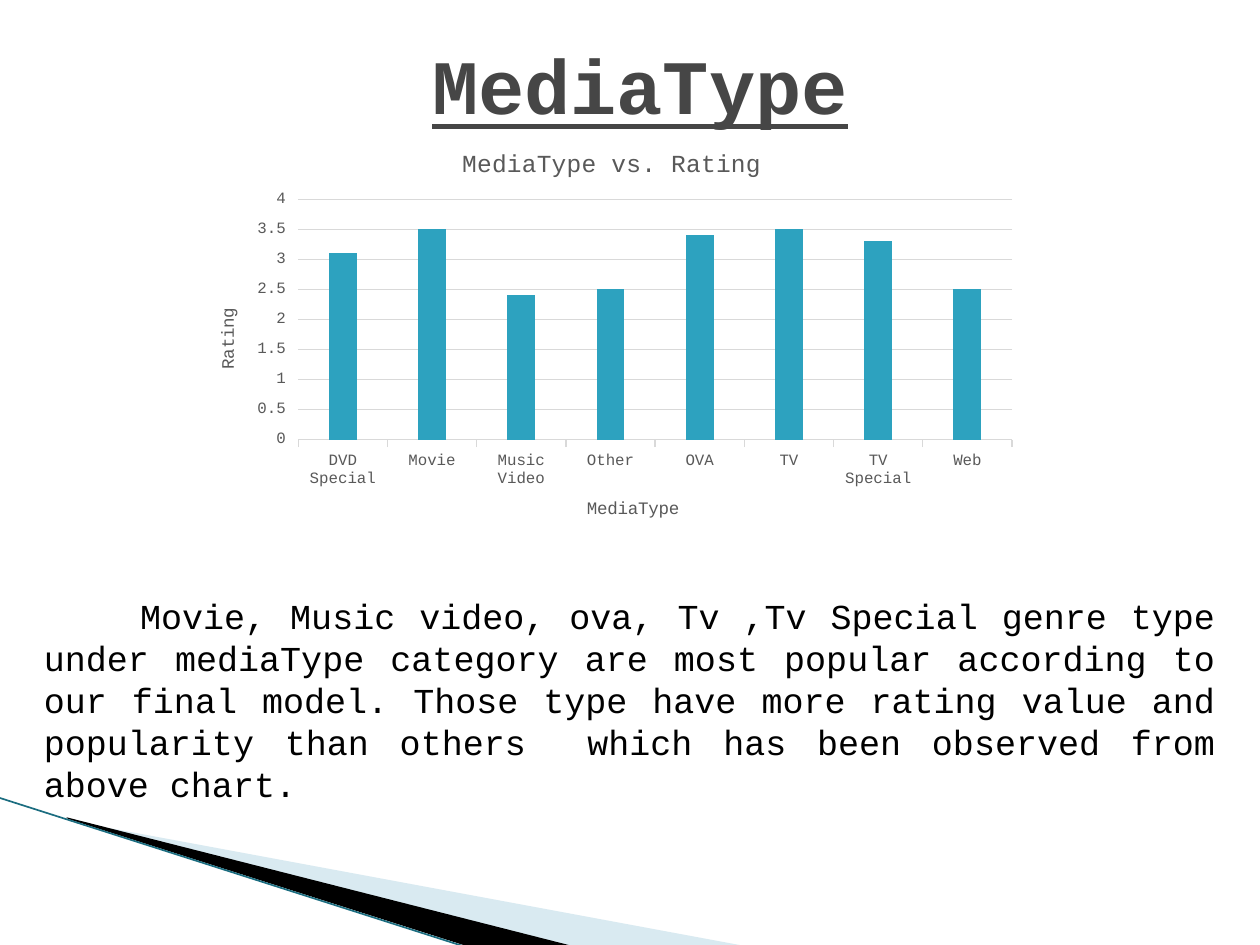
"""Build the MediaType rating slide."""
from lxml import etree
from pptx import Presentation
from pptx.chart.data import CategoryChartData as ChartData
from pptx.dml.color import RGBColor
from pptx.enum.chart import XL_CHART_TYPE as Kind, XL_TICK_MARK as Tick
from pptx.enum.shapes import MSO_CONNECTOR as Link
from pptx.enum.text import MSO_ANCHOR as Anchor, PP_ALIGN as Align
from pptx.oxml.ns import qn
from pptx.util import Pt

FACE = "Courier New"
BLACK = RGBColor(0, 0, 0)
DARK = RGBColor(0x46, 0x46, 0x46)
GRAY = RGBColor(0x59, 0x59, 0x59)
RULE = RGBColor(0xD9, 0xD9, 0xD9)
TEAL = RGBColor(0x2D, 0xA2, 0xBF)
DEEP = RGBColor(0x1B, 0x6D, 0x80)
PALE = RGBColor(0xA0, 0xCB, 0xDC)

HEAD = "MediaType"
BODY = ("Movie, Music video, ova, Tv ,Tv Special genre type under mediaType "
        "category are most popular according to our final model. Those type "
        "have more rating value and popularity than others  which has been "
        "observed from above chart.")
RATES = {"DVD Special": 3.1, "Movie": 3.5, "Music Video": 2.4, "Other": 2.5,
         "OVA": 3.4, "TV": 3.5, "TV Special": 3.3, "Web": 2.5}
WEDGES = [
    ([(39.6, 468.7), (428.4, 540.7), (328.3, 540.7), (39.6, 468)], PALE, 40),
    ([(38.2, 467.3), (329, 540.7), (267.8, 541.4), (38.9, 468)], BLACK, 100),
]


def style(font, size, color, bold=False):
    font.name, font.size, font.bold = FACE, Pt(size), bold
    font.color.rgb = color


def wedge(shapes, dots, color, alpha):
    pen = shapes.build_freeform(*dots[0], scale=Pt(1))
    pen.add_line_segments(dots[1:], close=True)
    shape = pen.convert_to_shape()
    shape.shadow.inherit = False
    shape.line.fill.background()
    shape.fill.solid()
    shape.fill.fore_color.rgb = color
    if alpha < 100:
        tone = shape.fill._xPr.find(".//" + qn("a:srgbClr"))
        etree.SubElement(tone, qn("a:alpha")).set("val", str(alpha * 1000))


def write(shapes, box, text, size, color, align, bold=False):
    frame = shapes.add_textbox(*map(Pt, box)).text_frame
    frame.word_wrap = True
    frame.text = text
    para = frame.paragraphs[0]
    para.alignment = align
    style(para.runs[0].font, size, color, bold)
    return frame


def place(node, spot, **vals):
    for old in node.findall(qn("c:layout")):
        node.remove(old)
    lay = etree.Element(qn("c:layout"))
    man = etree.SubElement(lay, qn("c:manualLayout"))
    for key, val in vals.items():
        etree.SubElement(man, qn("c:" + key)).set("val", str(val))
    node.insert(spot, lay)


def label(title, text, size, left, top):
    title.text_frame.text = text
    style(title.text_frame.paragraphs[0].runs[0].font, size, GRAY)
    place(title._element, 1, xMode="edge", yMode="edge", x=left, y=top)


def graph(shapes):
    data = ChartData()
    data.categories = list(RATES)
    data.add_series("Series 1", list(RATES.values()))
    chart = shapes.add_chart(Kind.COLUMN_CLUSTERED, Pt(108), Pt(70.5),
                             Pt(480), Pt(241), data).chart
    style(chart.font, 10, BLACK)
    chart.has_legend = False
    chart.has_title = True
    label(chart.chart_title, "MediaType vs. Rating", 14, 0.32, 0.05)
    plot = chart.plots[0]
    plot.gap_width, plot.overlap, plot.vary_by_categories = 219, -27, False
    fill = plot.series[0].format.fill
    fill.solid()
    fill.fore_color.rgb = TEAL
    cat, val = chart.category_axis, chart.value_axis
    for axis in (cat, val):
        style(axis.tick_labels.font, 9, GRAY)
        axis.major_tick_mark = Tick.OUTSIDE
    label(cat.axis_title, "MediaType", 10, 0.47, 0.88)
    label(val.axis_title, "Rating", 10, 0.03, 0.43)
    val.minimum_scale, val.maximum_scale, val.major_unit = 0, 4, 0.5
    val.format.line.fill.background()
    for part in (cat, val.major_gridlines):
        part.format.line.color.rgb = RULE
        part.format.line.width = Pt(0.75)
    area = chart._chartSpace.find(".//" + qn("c:plotArea"))
    place(area, 0, layoutTarget="inner", xMode="edge", yMode="edge",
          x=0.13, y=0.18, w=0.85, h=0.57)


def main():
    deck = Presentation()
    deck.slide_width, deck.slide_height = Pt(720), Pt(540)
    shapes = deck.slides.add_slide(deck.slide_layouts[6]).shapes
    for dots, color, alpha in WEDGES:
        wedge(shapes, dots, color, alpha)
    edge = shapes.add_connector(Link.STRAIGHT, Pt(-0.7), Pt(455.8),
                                Pt(267), Pt(541.4))
    edge.line.color.rgb, edge.line.width = DEEP, Pt(0.95)
    etree.SubElement(edge._element.spPr, qn("a:effectLst"))
    head = write(shapes, (41.8, 3, 648, 90), HEAD, 44, DARK,
                 Align.CENTER, True)
    head.vertical_anchor = Anchor.MIDDLE
    head.paragraphs[0].runs[0].font.underline = True
    body = write(shapes, (18, 336, 684, 104.4), BODY, 20, BLACK,
                 Align.JUSTIFY)
    body.paragraphs[0]._p.get_or_add_pPr().set("indent", str(Pt(55)))
    graph(shapes)
    deck.save("out.pptx")


if __name__ == "__main__":
    main()
